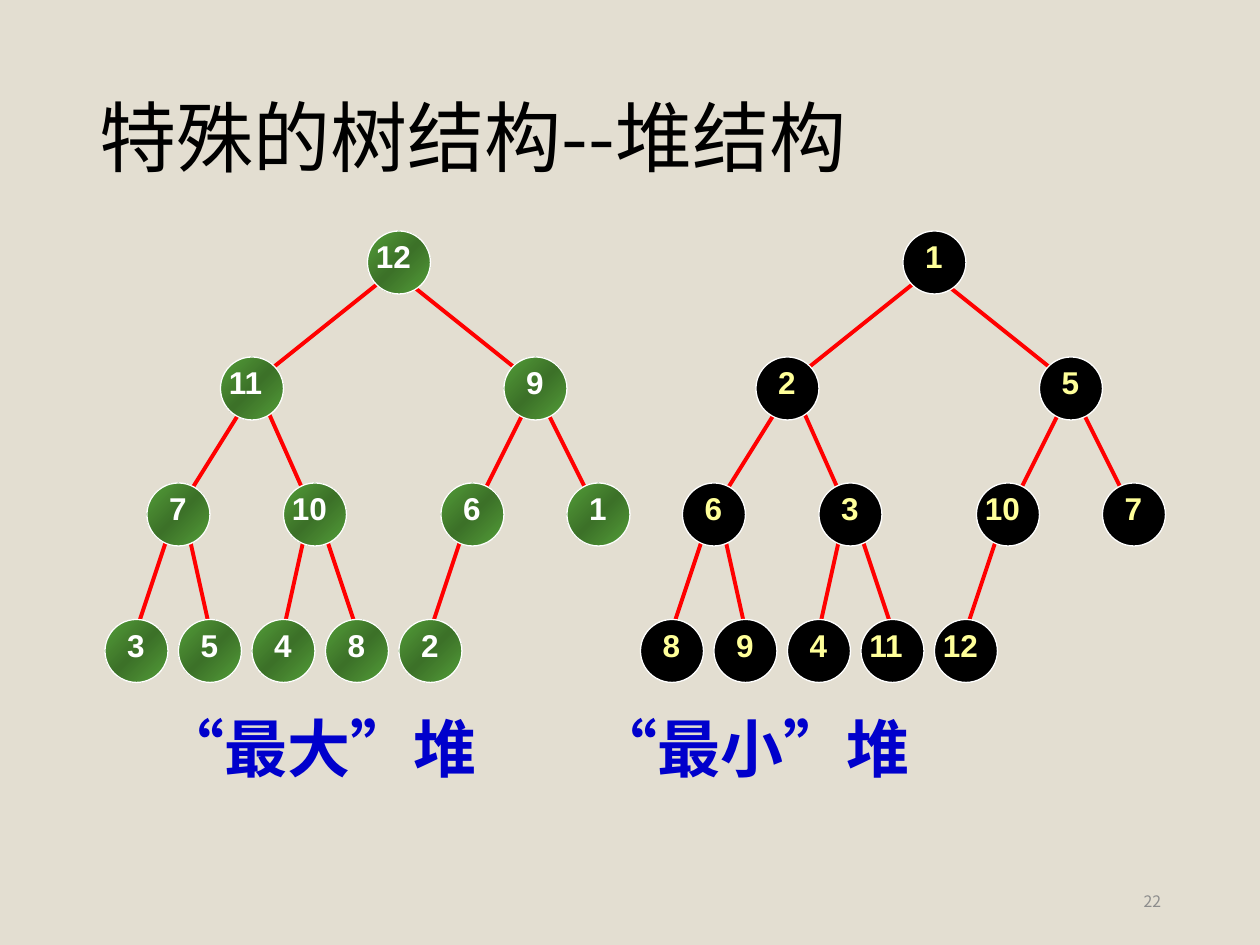
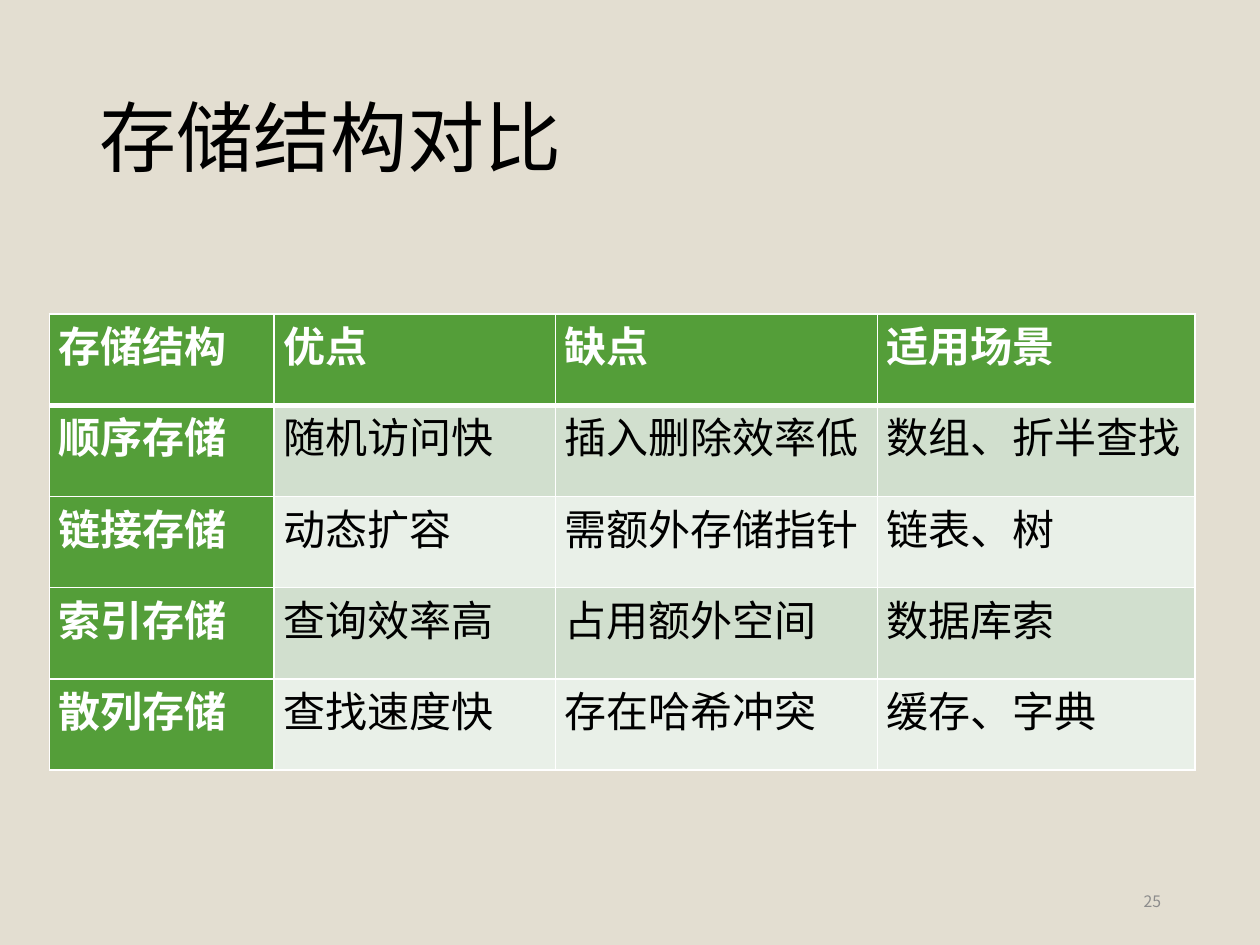
"""Builds two slides on heaps and storage structures."""
from lxml.etree import SubElement
from pptx import Presentation
from pptx.dml.color import RGBColor
from pptx.enum.shapes import MSO_CONNECTOR, MSO_SHAPE
from pptx.enum.text import MSO_ANCHOR, PP_ALIGN
from pptx.oxml import parse_xml
from pptx.oxml.ns import nsdecls, qn
from pptx.util import Inches, Pt

COLORS = {
    "paper": "E3DED1", "ink": "000000", "white": "FFFFFF", "green": "549E39",
    "red": "FF0000", "blue": "0000CC", "pale": "FFFF99", "gray": "8C8C8C",
    "band": "D1DFCE", "light": "E9F0E8",
}
HAN = "Noto Sans CJK SC"
NODE = 6
SPOTS = [(35, 22), (21, 34), (48, 34), (14, 46), (27, 46), (42, 46), (54, 46)]
SPOTS += [(10 + 7 * i, 59) for i in range(5)]
HEAPS = [
    (0, "green", "white", [12, 11, 9, 7, 10, 6, 1, 3, 5, 4, 8, 2]),
    (51, "ink", "pale", [1, 2, 5, 6, 3, 10, 7, 8, 9, 4, 11, 12]),
]
WIDTHS = [21.4, 26.8, 30.7, 30.2]
ROWS = [
    ["存储结构", "优点", "缺点", "适用场景"],
    ["顺序存储", "随机访问快", "插入删除效率低", "数组、折半查找"],
    ["链接存储", "动态扩容", "需额外存储指针", "链表、树"],
    ["索引存储", "查询效率高", "占用额外空间", "数据库索"],
    ["散列存储", "查找速度快", "存在哈希冲突", "缓存、字典"],
]


def unit(count):
    """Turn grid steps, twelve to the inch, into a length."""
    return Inches(count / 12)


def color(name):
    """Look up a colour by name."""
    return RGBColor.from_string(COLORS[name])


def write(frame, text, size=18, ink="ink", bold=False, font=HAN,
          align=PP_ALIGN.LEFT, lead=None, tab=None):
    """Put one formatted paragraph in a text frame."""
    para = frame.paragraphs[0]
    para.alignment = align
    if lead:
        para.line_spacing = lead
    if tab:
        stops = SubElement(para._p.get_or_add_pPr(), qn("a:tabLst"))
        SubElement(stops, qn("a:tab"), pos=str(unit(tab)), algn="l")
    run = para.add_run()
    run.text = text
    run.font.size, run.font.bold = Pt(size), bold
    run.font.color.rgb = color(ink)
    run.font.name = font
    props = run._r.get_or_add_rPr()
    props.set("lang", "zh-CN")
    SubElement(props, qn("a:ea"), typeface=font)


class Deck:
    """Hold the shared style and the current slide."""

    def __init__(self):
        """Open a deck of 120 by 90 grid steps."""
        self.show = Presentation()
        self.show.slide_width, self.show.slide_height = unit(120), unit(90)
        self.slide = None

    def page(self, title, number):
        """Start a slide with its ground, title and number."""
        self.slide = self.show.slides.add_slide(self.show.slide_layouts[6])
        ground = self.slide.background.fill
        ground.solid()
        ground.fore_color.rgb = color("paper")
        self.text(title, 8.25, 4.8, 103.5, 17.4, mid=True, size=44, lead=0.9)
        self.text(str(number), 84.75, 83.4, 27, 4.8, mid=True, size=9,
                  ink="gray", align=PP_ALIGN.RIGHT)

    def text(self, words, left, top, width, height, mid=False, wrap=True,
             inset=1.2, **style):
        """Add a text box."""
        box = self.slide.shapes.add_textbox(*map(unit, (left, top, width, height)))
        frame = box.text_frame
        frame.word_wrap = wrap
        frame.margin_left = unit(inset)
        frame.vertical_anchor = MSO_ANCHOR.MIDDLE if mid else MSO_ANCHOR.TOP
        write(frame, words, **style)

    def edge(self, start, end):
        """Add a red line between two grid points."""
        line = self.slide.shapes.add_connector(
            MSO_CONNECTOR.STRAIGHT, *map(unit, (*start, *end)))
        line.line.color.rgb = color("red")
        line.line.width = Pt(2.25)
        SubElement(line._element.spPr, qn("a:effectLst"))

    def node(self, value, left, top, fill, ink):
        """Add a disc with its number."""
        disc = self.slide.shapes.add_shape(
            MSO_SHAPE.OVAL, *map(unit, (left, top, NODE, NODE)))
        disc.shadow.inherit = False
        disc.line.color.rgb = color("white")
        disc.line.width = Pt(0.75)
        if fill == "green":
            self.shade(disc, COLORS[fill])
        else:
            disc.fill.solid()
            disc.fill.fore_color.rgb = color(fill)
        shift, width = (-0.4, 6.8) if value > 9 else (0.9, 4.7)
        self.text(str(value), left + shift, top, width, NODE, wrap=False,
                  ink=ink, bold=True, font="Arial")

    def shade(self, disc, tint):
        """Fill a disc with a slanted gradient, dark in the middle."""
        disc.fill.background()
        stops = "".join(
            f'<a:gs pos="{pos}"><a:srgbClr val="{tint}">{dark}</a:srgbClr></a:gs>'
            for pos, dark in [(0, ""), (50000, '<a:shade val="46275"/>'), (100000, "")])
        props = disc._element.spPr
        props.replace(props.find(qn("a:noFill")), parse_xml(
            f'<a:gradFill {nsdecls("a")} rotWithShape="1"><a:gsLst>{stops}</a:gsLst>'
            '<a:lin ang="2700000" scaled="1"/></a:gradFill>'))

    def heap(self, shift, fill, ink, values):
        """Draw a heap given in level order."""
        spots = [(left + shift, top) for left, top in SPOTS]
        for kid in range(1, len(spots)):
            depth = (kid + 1).bit_length() - 1
            (px, py), (x, y) = spots[(kid - 1) // 2], spots[kid]
            out, into = (min(depth, 2), 6 - depth) if kid % 2 else (4, depth)
            drop = 4 if kid == 4 else 5
            self.edge((px + out, py + drop), (x + into, y + 1))
        for value, spot in zip(values, spots):
            self.node(value, *spot, fill, ink)

    def table(self, rows, widths, left, top, height):
        """Add a table with a green head row and first column."""
        grid = self.slide.shapes.add_table(
            len(rows), len(widths),
            *map(unit, (left, top, sum(widths), height * len(rows)))).table
        grid.first_row = grid.horz_banding = False
        for col, width in zip(grid.columns, widths):
            col.width = unit(width)
        for r, row in enumerate(rows):
            grid.rows[r].height = unit(height)
            for c, words in enumerate(row):
                head = r == 0 or c == 0
                fill = "green" if head else ("band" if r % 2 else "light")
                self.cell(grid.cell(r, c), words, fill, head,
                          {"L": 1, "R": 1, "T": 3 if r == 1 else 1,
                           "B": 3 if r == 0 else 1})

    def cell(self, cell, words, fill, head, sides):
        """Fill, frame and write one cell."""
        cell.margin_left = cell.margin_right = unit(0.86)
        cell.margin_top = cell.margin_bottom = 0
        props = cell._tc.get_or_add_tcPr()
        for side, width in sides.items():
            line = SubElement(props, qn("a:ln" + side), w=str(Pt(width)))
            paint = SubElement(line, qn("a:solidFill"))
            SubElement(paint, qn("a:srgbClr"), val=COLORS["white"])
        cell.fill.solid()
        cell.fill.fore_color.rgb = color(fill)
        write(cell.text_frame, words, size=24, bold=head,
              ink="white" if head else "ink", align=PP_ALIGN.JUSTIFY)


def main():
    """Build and save the deck."""
    deck = Deck()
    deck.page("特殊的树结构--堆结构", 22)
    for heap in HEAPS:
        deck.heap(*heap)
    deck.text("“最大”堆\t“最小”堆", 12.6, 67, 90.7, 8.75, inset=2.8,
              size=36, ink="blue", bold=True, tab=41.2)
    deck.page("存储结构对比", 25)
    deck.table(ROWS, WIDTHS, 4.7, 29.9, 8.69)
    deck.show.save("out.pptx")


if __name__ == "__main__":
    main()
